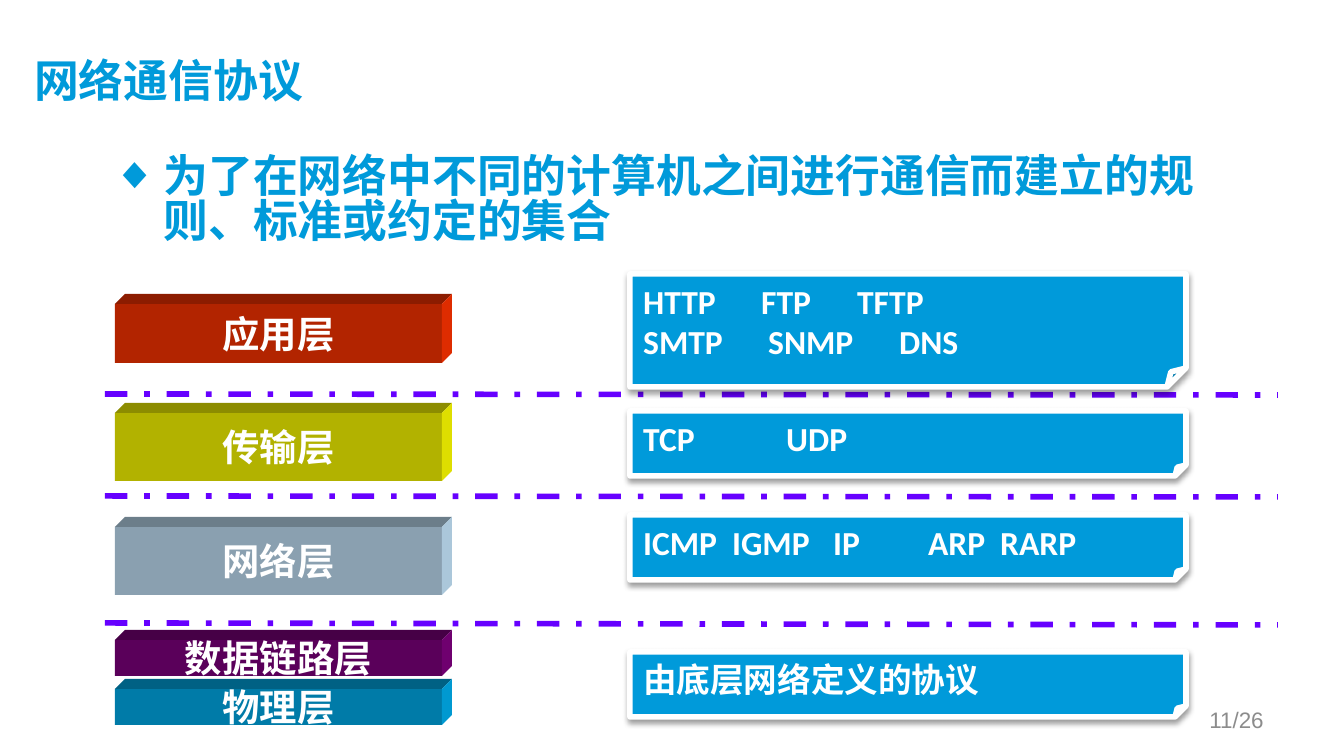
import pptx
import pptx.dml.color
import pptx.enum.dml
import pptx.enum.shapes
import pptx.enum.text
import pptx.oxml
import pptx.oxml.ns
import pptx.util
from lxml import etree

RGBColor = pptx.dml.color.RGBColor
BLUE = RGBColor(0x00, 0x9A, 0xDA)
VIOLET = RGBColor(0x66, 0x00, 0xFF)
WHITE = RGBColor(0xFF, 0xFF, 0xFF)
GREY = RGBColor(0x8C, 0x8C, 0x8C)
RED = RGBColor(0xFF, 0x33, 0x00)
YELLOW = RGBColor(0xFF, 0xFF, 0x00)
PALE_BLUE = RGBColor(0xC5, 0xE5, 0xFB)
PURPLE = RGBColor(0x80, 0x00, 0x80)
SKY = RGBColor(0x00, 0xB0, 0xF0)

CJK_FONT = "Noto Sans CJK SC"
PX = pptx.util.Inches(1) / 134.4
qn = pptx.oxml.ns.qn


def px(*lengths):
    return [round(length * PX) for length in lengths]


def add_text(paragraph, text, size, color, font=CJK_FONT, bold=True):
    run = paragraph.add_run()
    run.text = text
    run.font.size = pptx.util.Pt(size)
    run.font.name = font
    run.font.bold = bold
    run.font.color.rgb = color
    east_asian = etree.SubElement(run.font._element, qn("a:ea"))
    east_asian.set("typeface", CJK_FONT)


presentation = pptx.Presentation()
presentation.slide_width, presentation.slide_height = px(1344, 756)
slide = presentation.slides.add_slide(presentation.slide_layouts[1])
shapes = slide.shapes

# Title
title = shapes.title
title.left, title.top, title.width, title.height = px(34, 31, 1211, 103)
frame = title.text_frame
frame.margin_left = frame.margin_top = 0
frame.vertical_anchor = pptx.enum.text.MSO_ANCHOR.MIDDLE
frame.paragraphs[0].alignment = pptx.enum.text.PP_ALIGN.LEFT
add_text(frame.paragraphs[0], "网络通信协议", 24, BLUE)

# Definition with a diamond bullet
body = slide.placeholders[1]
body.left, body.top, body.width, body.height = px(99, 149, 1141, 499)
paragraph = body.text_frame.paragraphs[0]
paragraph.level = 1
paragraph.space_before = pptx.util.Pt(5)
paragraph.line_spacing = 0.85
add_text(paragraph, "为了在网络中不同的计算机之间进行通信而建立的规则、标准或约定的集合", 24, BLUE)
properties = paragraph._p.get_or_add_pPr()
indent, = px(51)
properties.set("marL", str(indent))
properties.set("indent", str(-indent))
bullet_color = etree.SubElement(properties, qn("a:buClr"))
etree.SubElement(bullet_color, qn("a:srgbClr")).set("val", str(BLUE))
etree.SubElement(properties, qn("a:buChar")).set("char", "◆")

# Layer bars: front face, darker top and lighter side
LEFT, RIGHT, DEPTH = 115, 442, 10
layers = [
    ("网络层", 527, 68, PALE_BLUE),
    ("传输层", 413, 68, YELLOW),
    ("应用层", 304, 59, RED),
    ("物理层", 689, 36, SKY),
    ("数据链路层", 640, 36, PURPLE),
]
for name, top, height, color in layers:
    bottom = top + height
    front = shapes.add_shape(pptx.enum.shapes.MSO_SHAPE.RECTANGLE,
                             *px(LEFT, top, RIGHT - LEFT, height))
    faces = [(front, 0.7)]
    outlines = [
        ([(LEFT, top), (LEFT + DEPTH, top - DEPTH),
          (RIGHT + DEPTH, top - DEPTH), (RIGHT, top)], 0.55),
        ([(RIGHT, top), (RIGHT + DEPTH, top - DEPTH),
          (RIGHT + DEPTH, bottom - DEPTH), (RIGHT, bottom)], 0.87),
    ]
    for points, shade in outlines:
        builder = shapes.build_freeform(*points[0], scale=PX)
        builder.add_line_segments(points[1:], close=True)
        faces.append((builder.convert_to_shape(), shade))
    for face, shade in faces:
        face.shadow.inherit = False
        face.fill.solid()
        face.fill.fore_color.rgb = RGBColor(*[round(part * shade) for part in color])
        face.line.fill.background()
    frame = front.text_frame
    frame.word_wrap = False
    frame.vertical_anchor = pptx.enum.text.MSO_ANCHOR.MIDDLE
    frame.paragraphs[0].alignment = pptx.enum.text.PP_ALIGN.CENTER
    add_text(frame.paragraphs[0], name, 20, WHITE, "Calibri")

# Dividers between the layers
for start, end in [(623, 625), (496, 497), (394, 395)]:
    divider = shapes.add_connector(pptx.enum.shapes.MSO_CONNECTOR.STRAIGHT,
                                   *px(105, start, 1278, end))
    divider.line.color.rgb = VIOLET
    divider.line.width = pptx.util.Pt(3)
    divider.line.dash_style = pptx.enum.dml.MSO_LINE.DASH_DOT
    etree.SubElement(divider._element.spPr, qn("a:effectLst"))

# Protocol notes: each line has its words and the tab stops between them
notes = [
    (274, 113, [(["HTTP", "FTP", "TFTP"], [118, 214]),
                (["SMTP", "SNMP", "DNS"], [125, 256])]),
    (411, 65, [(["TCP", "UDP"], [143])]),
    (515, 65, [(["ICMP", "IGMP", "IP", "ARP", "RARP"], [89, 190, 285, 357])]),
    (652, 65, [(["由底层网络定义的协议"], [])]),
]
for top, height, lines in notes:
    note = shapes.add_shape(pptx.enum.shapes.MSO_SHAPE.FOLDED_CORNER,
                            *px(630, top, 556, height))
    note.fill.solid()
    note.fill.fore_color.rgb = BLUE
    note.line.color.rgb = WHITE
    note.line.width = pptx.util.Pt(3)
    note.shadow.inherit = False
    effects = note._element.spPr.find(qn("a:effectLst"))
    shadow = etree.SubElement(effects, qn("a:outerShdw"), blurRad="39400",
                              dist="20300", dir="5400000", rotWithShape="0")
    shadow_color = etree.SubElement(shadow, qn("a:srgbClr"), val="000000")
    etree.SubElement(shadow_color, qn("a:alpha"), val="38000")
    frame = note.text_frame
    frame.word_wrap = True
    frame.vertical_anchor = pptx.enum.text.MSO_ANCHOR.TOP
    for index, (words, stops) in enumerate(lines):
        paragraph = frame.add_paragraph() if index else frame.paragraphs[0]
        paragraph.alignment = pptx.enum.text.PP_ALIGN.LEFT
        if stops:
            tabs = etree.SubElement(paragraph._p.get_or_add_pPr(), qn("a:tabLst"))
            for position in px(*stops):
                etree.SubElement(tabs, qn("a:tab"), pos=str(position), algn="l")
        add_text(paragraph, "\t".join(words), 18, WHITE, "Calibri")

# Page number
number = shapes.add_textbox(*px(964, 700, 313, 40))
frame = number.text_frame
frame.word_wrap = True
frame.vertical_anchor = pptx.enum.text.MSO_ANCHOR.MIDDLE
frame.paragraphs[0].alignment = pptx.enum.text.PP_ALIGN.RIGHT
add_text(frame.paragraphs[0], "11/26", 12, GREY, "Arial", False)

presentation.save("out.pptx")
